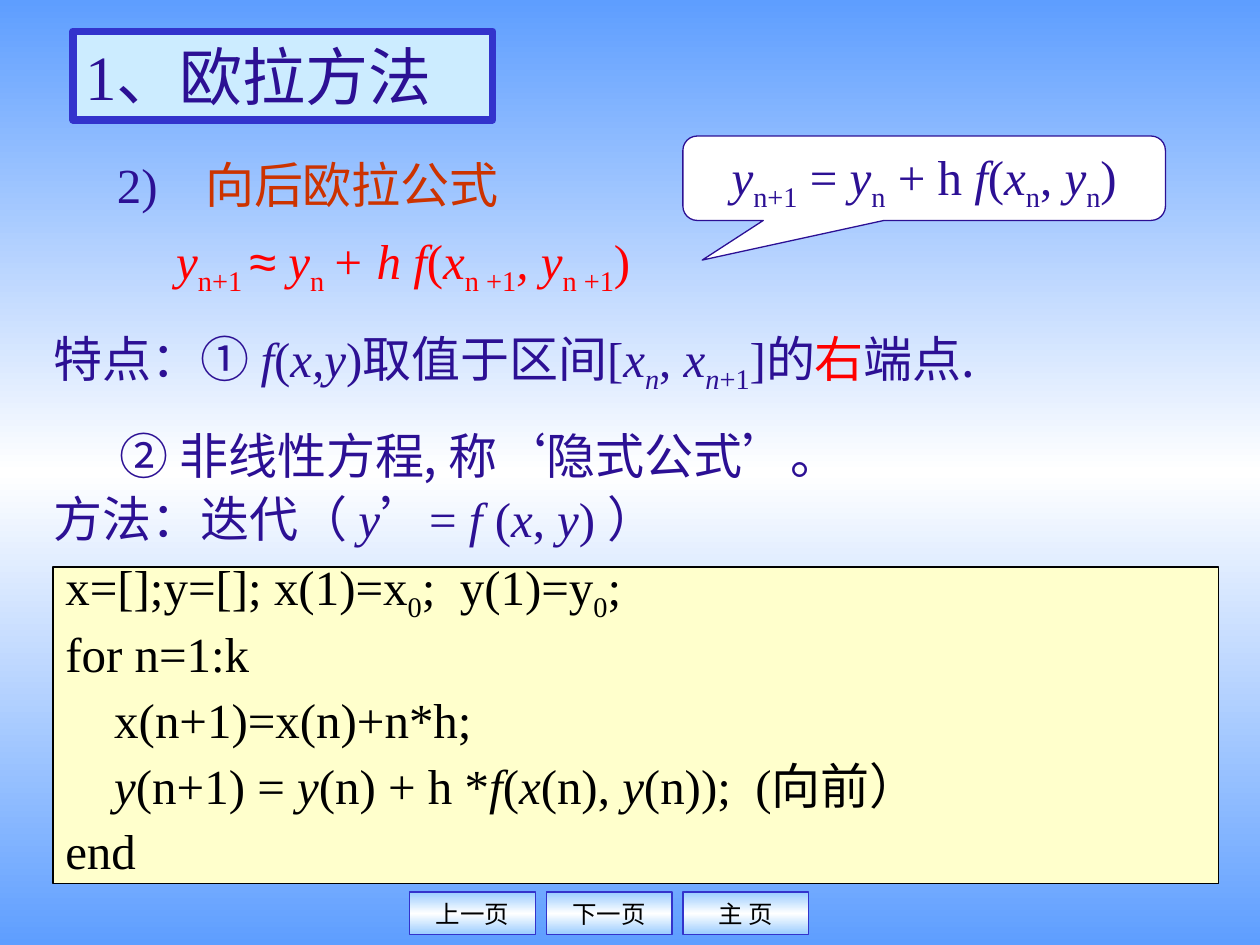
import copy

import pptx
import pptx.dml.color
import pptx.enum.shapes
import pptx.enum.text
import pptx.oxml
import pptx.oxml.ns
import pptx.util

Inches, Pt = pptx.util.Inches, pptx.util.Pt
qn = pptx.oxml.ns.qn
KIND = pptx.enum.shapes.MSO_SHAPE
ALIGN = pptx.enum.text.PP_ALIGN
ANCHOR = pptx.enum.text.MSO_ANCHOR

SERIF, CJK = "Times New Roman", "Noto Sans CJK SC"
INK, RED, RUST, BLACK = "2C1094", "FF0000", "CC3300", "000000"
BLUE = "3333CC"

# Each run is text plus style letters: i italic, s subscript,
# r red, o rust, c sans CJK font, a Arial.
TITLE = [[("1、欧拉方法", "")]]
HEAD = [[("2)\t", ""), ("向后欧拉公式", "o")]]
EULER = [[("y", "i"), ("n+1", "s"), (" = ", ""), ("y", "i"), ("n", "s"),
          (" + h ", ""), ("f", "i"), ("(", ""), ("x", "i"), ("n", "s"),
          (", ", ""), ("y", "i"), ("n", "s"), (")", "")]]
BODY = [
    [("y", "ri"), ("n+1 ", "rs"), ("≈", "ra"), (" y", "ri"), ("n ", "rs"),
     ("+ h f", "ri"), ("(", "r"), ("x", "ri"), ("n +1", "rs"),
     (", y", "ri"), ("n +1", "rs"), (")", "r")],
    [("特点：① ", "c"), ("f", "i"), ("(", ""), ("x,y", "i"),
     (")取值于", ""), ("区间", "c"), ("[", ""), ("x", "i"), ("n", "is"),
     (", ", ""), ("x", "i"), ("n", "is"), ("+1", "s"), ("]", ""),
     ("的", "c"), ("右", "cr"), ("端点.", "c")],
    [("② 非线性方程, 称", "c"), ("‘", ""), ("隐式公式", "c"),
     ("’", ""), ("。", "c")],
]
METHOD = [[("方法：迭代（ ", ""), ("y", "i"), ("’", "c"), ("= ", ""),
           ("f ", "i"), ("(", ""), ("x", "i"), (", ", ""), ("y", "i"),
           (") ）", "")]]
CODE = [
    [("x=[];y=[]; x(1)=x", ""), ("0", "s"), (";  y(1)=y", ""),
     ("0", "s"), (";", "")],
    [("for n=1:k", "")],
    [("    x(n+1)=x(n)+n*h;", "")],
    [("    y", "i"), ("(n+1) = ", ""), ("y", "i"), ("(n) + h *", ""),
     ("f", "i"), ("(", ""), ("x", "i"), ("(n), ", ""), ("y", "i"),
     ("(n));  (向前）", "")],
    [("end", "")],
]


def rgb(code):
    return pptx.dml.color.RGBColor.from_string(code)


def put(item, values):
    for name, value in values.items():
        setattr(item, name, value)


def blend(fill, root, edge):
    """Fill with a vertical gradient that is white in the middle."""
    fill.gradient()
    fill.gradient_angle = 90
    stops = root.find(".//" + qn("a:gsLst"))
    stops.append(copy.deepcopy(stops[0]))
    for stop, pos, code in zip(fill.gradient_stops, (0, 0.5, 1),
                               (edge, "FFFFFF", edge)):
        stop.position = pos
        stop.color.rgb = rgb(code)


def add_run(para, text, style, size, color):
    run = para.add_run()
    run.text = text
    face = CJK if "c" in style else "Arial" if "a" in style else SERIF
    put(run.font, {"size": Pt(size), "name": face, "italic": "i" in style})
    tint = RED if "r" in style else RUST if "o" in style else color
    run.font.color.rgb = rgb(tint)
    props = run.font._element
    east = pptx.oxml.parse_xml(
        f'<a:ea {pptx.oxml.ns.nsdecls("a")} typeface="{CJK}"/>')
    props.find(qn("a:latin")).addnext(east)
    if "s" in style:
        props.set("baseline", "-25000")


def write(shape, paras, size=28, color=INK, anchor=ANCHOR.TOP, **form):
    frame = shape.text_frame
    put(frame, {"word_wrap": True, "vertical_anchor": anchor})
    for num, runs in enumerate(paras):
        para = frame.add_paragraph() if num else frame.paragraphs[0]
        put(para, {"alignment": ALIGN.LEFT, **form})
        if num:
            para.space_before = Pt(17.5)
        for text, style in runs:
            add_run(para, text, style, size, color)
    return frame.paragraphs


def add_text(slide, spot, paras):
    return write(slide.shapes.add_textbox(*map(Inches, spot)), paras)


def add_box(slide, spot, line, fill=None, width=0.75, kind=KIND.RECTANGLE):
    box = slide.shapes.add_shape(kind, *map(Inches, spot))
    box.shadow.inherit = False
    if fill:
        box.fill.solid()
        box.fill.fore_color.rgb = rgb(fill)
    box.line.color.rgb = rgb(line)
    box.line.width = Pt(width)
    return box


def indent(para, left):
    para._p.get_or_add_pPr().set("marL", str(Inches(left)))


def add_tab(para, pos):
    tabs = pptx.oxml.parse_xml(
        f'<a:tabLst {pptx.oxml.ns.nsdecls("a")}>'
        f'<a:tab pos="{Inches(pos)}" algn="l"/></a:tabLst>')
    para._p.get_or_add_pPr().append(tabs)


def add_nav(slide):
    for num, label in enumerate(("上一页", "下一页", "主 页")):
        box = add_box(slide, (3.25 + 1.085 * num, 7.08, 1, 0.34), BLUE)
        blend(box.fill, box._element, "99CCFF")
        write(box, [[(label, "c")]], 14, BLACK, ANCHOR.MIDDLE,
              alignment=ALIGN.CENTER)


def main():
    deck = pptx.Presentation()
    put(deck, {"slide_width": Inches(10), "slide_height": Inches(7.5)})
    slide = deck.slides.add_slide(deck.slide_layouts[6])
    blend(slide.background.fill, slide._element, "5E9EFF")
    add_nav(slide)

    lines = add_text(slide, (0.33, 1.78, 9.33, 2.12), BODY)
    indent(lines[0], 0.97)
    indent(lines[2], 0.52)

    note = add_box(slide, (5.42, 1.08, 3.83, 0.67), INK, "FFFFFF",
                   kind=KIND.ROUNDED_RECTANGULAR_CALLOUT)
    for num, value in enumerate((-0.46, 0.97, 0.17)):
        note.adjustments[num] = value
    write(note, EULER, alignment=ALIGN.CENTER)

    head = add_text(slide, (0.83, 1.18, 3.75, 0.57), HEAD)
    add_tab(head[0], 0.7)
    add_text(slide, (0.33, 3.83, 7.5, 0.57), METHOD)

    code = add_box(slide, (0.42, 4.5, 9.25, 2.51), BLACK, "FFFFCC")
    write(code, CODE, color=BLACK, line_spacing=0.6)
    title = add_box(slide, (0.58, 0.25, 3.33, 0.7), BLUE, "CCECFF", 4.5)
    write(title, TITLE, 36)
    deck.save("out.pptx")


if __name__ == "__main__":
    main()
